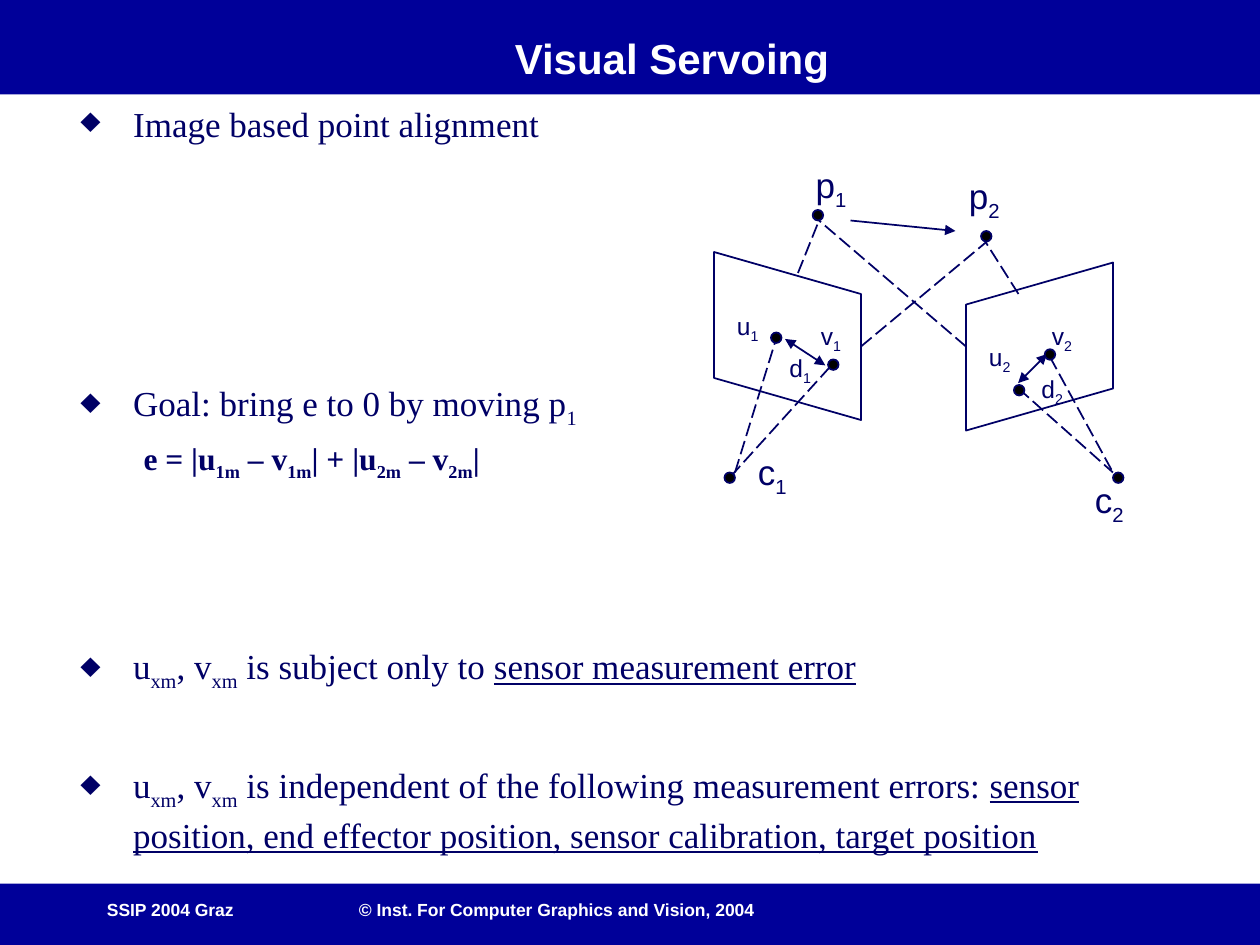
"""Build the Visual Servoing slide with its two-camera diagram."""
import pptx
import pptx.dml.color
import pptx.enum.dml
import pptx.enum.shapes
import pptx.enum.text
import pptx.oxml
import pptx.oxml.ns
import pptx.util

Pt = pptx.util.Pt
Shapes = pptx.enum.shapes.MSO_SHAPE
Anchor = pptx.enum.text.MSO_ANCHOR
Align = pptx.enum.text.PP_ALIGN
NAVY = pptx.dml.color.RGBColor(0x00, 0x00, 0x66)
BAND_BLUE = pptx.dml.color.RGBColor(0x00, 0x00, 0x99)
BLACK = pptx.dml.color.RGBColor(0x00, 0x00, 0x00)
WHITE = pptx.dml.color.RGBColor(0xFF, 0xFF, 0xFF)
SANS = "Arial"
SERIF = "Times New Roman"
DOT = 6


def append_xml(parent, tag, body="", **attributes):
    """Append a drawing element to the parent."""
    values = "".join(f' {name}="{value}"' for name, value in attributes.items())
    namespace = pptx.oxml.ns.nsdecls("a")
    parent.append(pptx.oxml.parse_xml(f"<a:{tag} {namespace}{values}>{body}</a:{tag}>"))


class SlideBuilder:
    """Hold the style and the current slide."""

    def __init__(self, slide):
        self.slide = slide

    def shape(self, kind, left, top, width, height, fill=None, line=None):
        shape = self.slide.shapes.add_shape(kind, Pt(left), Pt(top), Pt(width), Pt(height))
        shape.shadow.inherit = False
        if fill is None:
            shape.fill.background()
        else:
            shape.fill.solid()
            shape.fill.fore_color.rgb = fill
        if line is None:
            shape.line.fill.background()
        else:
            shape.line.color.rgb = line
            shape.line.width = Pt(1)
        return shape

    def band(self, top, height):
        self.shape(Shapes.RECTANGLE, 0, top, 720, height, fill=BAND_BLUE)

    def dot(self, left, top):
        self.shape(Shapes.OVAL, left, top, DOT, DOT, fill=BLACK, line=NAVY)

    def image_plane(self, left, top, rotation, flipped):
        plane = self.shape(Shapes.PARALLELOGRAM, left, top, 96, 84, line=NAVY)
        plane.adjustments[0] = 0.286
        plane.rotation = rotation
        if flipped:
            plane._element.spPr.xfrm.set("flipH", "1")

    def line(self, start, end, dashed=False, ends=()):
        connector = self.slide.shapes.add_connector(
            pptx.enum.shapes.MSO_CONNECTOR.STRAIGHT, *map(Pt, start + end))
        connector.line.color.rgb = NAVY
        connector.line.width = Pt(1)
        if dashed:
            connector.line.dash_style = pptx.enum.dml.MSO_LINE.LONG_DASH
        for tag in ends:
            append_xml(connector.line._get_or_add_ln(), tag, type="triangle")
        append_xml(connector._element.spPr, "effectLst")

    def text_frame(self, left, top, width, height, wrap=True, anchor=Anchor.TOP):
        box = self.slide.shapes.add_textbox(Pt(left), Pt(top), Pt(width), Pt(height))
        box.text_frame.word_wrap = wrap
        box.text_frame.vertical_anchor = anchor
        return box.text_frame

    def add_text(self, paragraph, text, size, font=SANS, color=NAVY, bold=False, underlined=""):
        """Add text whose parts between tildes are subscripts."""
        for index, part in enumerate(text.split("~")):
            if part:
                run = paragraph.add_run()
                run.text = part
                if index % 2:
                    run._r.get_or_add_rPr().set("baseline", "-25000")
        if underlined:
            run = paragraph.add_run()
            run.text = underlined
            run.font.underline = True
        paragraph.font.size = Pt(size)
        paragraph.font.name = font
        paragraph.font.bold = bold
        paragraph.font.color.rgb = color

    def label(self, text, left, top, size):
        frame = self.text_frame(left, top, 32 if size == 20 else 27, size * 1.7, wrap=False)
        self.add_text(frame.paragraphs[0], text, size)

    def body(self, items):
        frame = self.text_frame(39, 54, 642, 432)
        for index, (text, underlined, space, bulleted) in enumerate(items):
            paragraph = frame.add_paragraph() if index else frame.paragraphs[0]
            paragraph.line_spacing = 1.05
            if index:
                paragraph.space_before = Pt(space)
            properties = paragraph._p.get_or_add_pPr()
            properties.set("marL", str(Pt(30 if bulleted else 36)))
            properties.set("indent", str(Pt(-30 if bulleted else 0)))
            if bulleted:
                append_xml(properties, "buClr", f'<a:srgbClr val="{NAVY}"/>')
                append_xml(properties, "buChar", char="♦")
            self.add_text(paragraph, text, 20 if bulleted else 18, SERIF,
                          bold=not bulleted, underlined=underlined)

    def title(self, text):
        frame = self.text_frame(102, 12, 564, 42, anchor=Anchor.MIDDLE)
        frame.paragraphs[0].alignment = Align.CENTER
        self.add_text(frame.paragraphs[0], text, 24, color=WHITE, bold=True)

    def footer(self, text):
        paragraph = self.text_frame(54, 510, 450, 19.5).paragraphs[0]
        append_xml(paragraph._p.get_or_add_pPr(), "tabLst",
                   f'<a:tab pos="{Pt(144)}" algn="l"/>')
        self.add_text(paragraph, text, 10, color=WHITE, bold=True)


BODY = [
    ("Image based point alignment", "", 0, True),
    ("Goal: bring e to 0 by moving p~1~", "", 134, True),
    ("e = |u~1m~ – v~1m~| + |u~2m~ – v~2m~|", "", 4.5, False),
    ("u~xm~, v~xm~ is subject only to ", "sensor measurement error", 91.5, True),
    ("u~xm~, v~xm~ is independent of the following measurement errors: ",
     "sensor position, end effector position, sensor calibration, target position", 39, True),
]
LABELS = [
    ("p~1~", 459, 90, 20), ("p~2~", 546.5, 96, 20),
    ("c~1~", 426, 254, 20), ("c~2~", 618.5, 270, 20),
    ("u~1~", 414, 174, 14), ("u~2~", 558, 192, 14),
    ("v~1~", 462, 180, 14), ("v~2~", 594, 180, 14),
    ("d~1~", 444, 198, 14), ("d~2~", 588, 210, 14),
]
SIGHT_LINES = [
    ((420, 270), (444, 192)), ((417.6, 272.2), (474, 210)),
    ((456, 156), (468, 126)), ((492, 198), (564, 138)),
    ((582, 222), (636, 270)), ((552, 198), (468, 126)),
    ((600, 204), (636, 270)), ((582, 168), (563, 138)),
]
DISTANCES = [((448.6, 193.7), (471.6, 208.8)), ((581.8, 218.9), (598.3, 202.3))]
DOTS = [
    (464.4, 120), (560.6, 132), (636, 270), (414, 270),
    (440.6, 190), (473.2, 205.4), (579.4, 220), (597, 199.6),
]


def main():
    presentation = pptx.Presentation()
    presentation.slide_width, presentation.slide_height = Pt(720), Pt(540)
    builder = SlideBuilder(presentation.slides.add_slide(presentation.slide_layouts[6]))
    builder.band(0, 54)
    builder.band(505, 35)
    builder.footer("SSIP 2004 Graz\t© Inst. For Computer Graphics and Vision, 2004")
    builder.title("Visual Servoing")
    builder.body(BODY)
    builder.image_plane(402, 150, 90, False)
    builder.image_plane(546, 156, 270, True)
    for start, end in SIGHT_LINES:
        builder.line(start, end, dashed=True)
    for start, end in DISTANCES:
        builder.line(start, end, ends=("headEnd", "tailEnd"))
    builder.line((486, 126), (546, 132), ends=("tailEnd",))
    for position in DOTS:
        builder.dot(*position)
    for label in LABELS:
        builder.label(*label)
    presentation.save("out.pptx")


if __name__ == "__main__":
    main()
